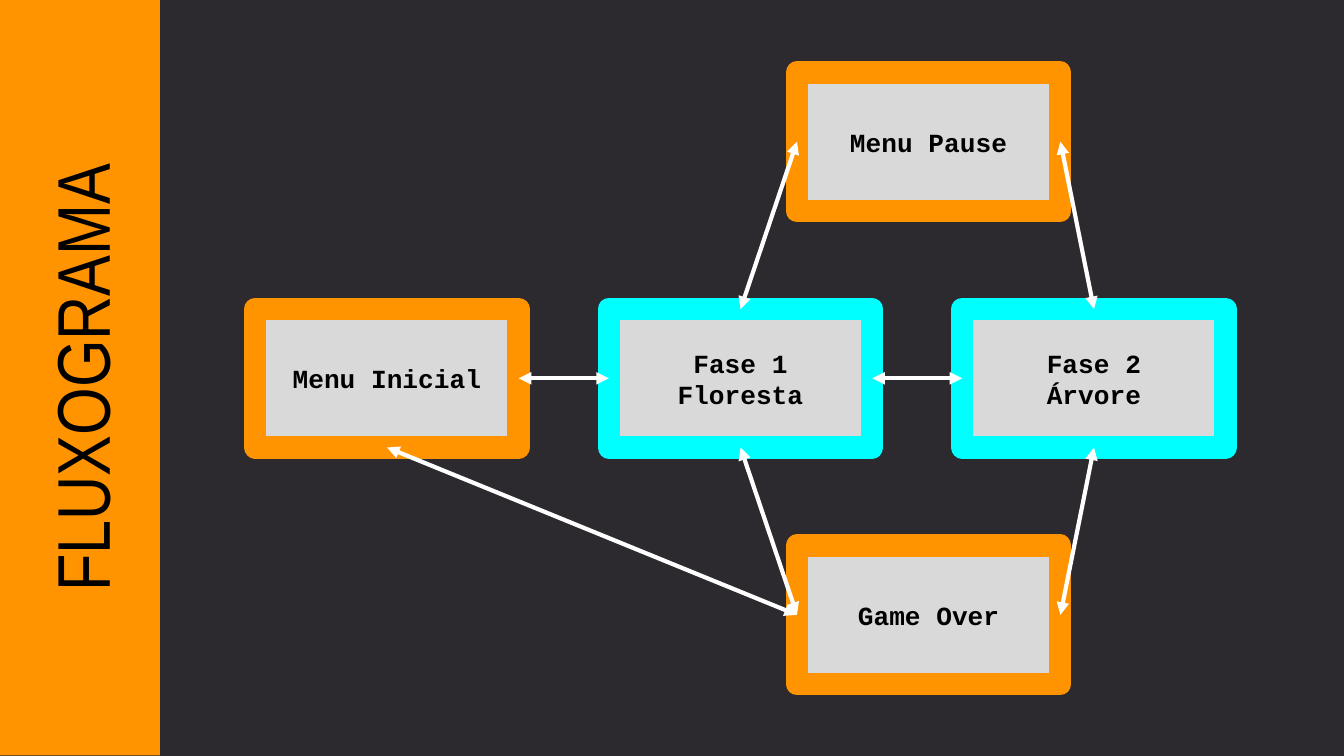
from dataclasses import dataclass
from enum import IntEnum

import pptx
import pptx.dml.color
import pptx.enum.shapes
import pptx.enum.text
import pptx.oxml
import pptx.oxml.ns
import pptx.util
from pptx.util import Inches

RGBColor = pptx.dml.color.RGBColor
DARK = RGBColor(0x2C, 0x2A, 0x2E)
ORANGE = RGBColor(0xFF, 0x94, 0x00)
CYAN = RGBColor(0x00, 0xFF, 0xFF)
GREY = RGBColor(0xD9, 0xD9, 0xD9)
BLACK = RGBColor(0x00, 0x00, 0x00)
WHITE = RGBColor(0xFF, 0xFF, 0xFF)

SLIDE_WIDTH = 10
SLIDE_HEIGHT = SLIDE_WIDTH * 9 / 16
BOX_WIDTH, BOX_HEIGHT = 1.96, 1.03
BAND_WIDTH, BAND_LENGTH = 1.19, 5.62
FRAME_FORMAT = {
    "word_wrap": True,
    "auto_size": pptx.enum.text.MSO_AUTO_SIZE.NONE,
    "vertical_anchor": pptx.enum.text.MSO_ANCHOR.MIDDLE,
    "margin_left": Inches(0.1),
    "margin_right": Inches(0.1),
    "margin_top": Inches(0.1),
    "margin_bottom": Inches(0.1),
}
TITLE_FONT = {"name": "Arial Narrow", "size": pptx.util.Pt(40), "bold": False}
SCREEN_FONT = {"name": "Courier New", "size": pptx.util.Pt(14), "bold": True}


class Side(IntEnum):
    """Connection sites of a rectangle."""
    TOP = 0
    LEFT = 1
    BOTTOM = 2
    RIGHT = 3


@dataclass(frozen=True)
class Screen:
    label: str
    left: float
    top: float
    border: RGBColor


@dataclass(frozen=True)
class Transition:
    start: str
    start_side: Side
    end: str
    end_side: Side


SCREENS = [
    Screen("Menu Inicial", 1.9, 2.3, ORANGE),
    Screen("Fase 1\nFloresta", 4.53, 2.3, CYAN),
    Screen("Fase 2\nÁrvore", 7.16, 2.3, CYAN),
    Screen("Menu Pause", 5.93, 0.54, ORANGE),
    Screen("Game Over", 5.93, 4.06, ORANGE),
]
START, FOREST, TREE, PAUSE, GAME_OVER = (screen.label for screen in SCREENS)
TRANSITIONS = [
    Transition(START, Side.RIGHT, FOREST, Side.LEFT),
    Transition(FOREST, Side.TOP, PAUSE, Side.LEFT),
    Transition(TREE, Side.TOP, PAUSE, Side.RIGHT),
    Transition(FOREST, Side.BOTTOM, GAME_OVER, Side.LEFT),
    Transition(GAME_OVER, Side.RIGHT, TREE, Side.BOTTOM),
    Transition(FOREST, Side.RIGHT, TREE, Side.LEFT),
    Transition(START, Side.BOTTOM, GAME_OVER, Side.LEFT),
]


def apply_format(target, values: dict) -> None:
    for attribute, value in values.items():
        setattr(target, attribute, value)


def write_text(shape, text: str, font: dict) -> None:
    frame = shape.text_frame
    frame.text = text
    apply_format(frame, FRAME_FORMAT)
    for paragraph in frame.paragraphs:
        paragraph.alignment = pptx.enum.text.PP_ALIGN.CENTER
        for run in paragraph.runs:
            apply_format(run.font, font)
            run.font.color.rgb = BLACK


def fill_solid(fill, color: RGBColor) -> None:
    fill.solid()
    fill.fore_color.rgb = color


def add_line_detail(line_owner, tag: str, **attributes: str) -> None:
    ln = line_owner.line._get_or_add_ln()
    detail = pptx.oxml.parse_xml(f"<{tag} {pptx.oxml.ns.nsdecls('a')}/>")
    for name, value in attributes.items():
        detail.set(name, value)
    ln.append(detail)


def draw_title_band(slide) -> None:
    band = slide.shapes.title
    apply_format(band, {
        "left": Inches((BAND_WIDTH - BAND_LENGTH) / 2),
        "top": Inches((BAND_LENGTH - BAND_WIDTH) / 2),
        "width": Inches(BAND_LENGTH),
        "height": Inches(BAND_WIDTH),
        "rotation": 270,
    })
    fill_solid(band.fill, ORANGE)
    write_text(band, "FLUXOGRAMA", TITLE_FONT)


def draw_screen(slide, screen: Screen):
    box = slide.shapes.add_shape(
        pptx.enum.shapes.MSO_SHAPE.RECTANGLE,
        Inches(screen.left), Inches(screen.top),
        Inches(BOX_WIDTH), Inches(BOX_HEIGHT))
    box.shadow.inherit = False
    fill_solid(box.fill, GREY)
    fill_solid(box.line.fill, screen.border)
    box.line.width = pptx.util.Pt(12)
    add_line_detail(box, "a:round")
    write_text(box, screen.label, SCREEN_FONT)
    return box


def draw_transition(slide, boxes: dict, transition: Transition) -> None:
    arrow = slide.shapes.add_connector(
        pptx.enum.shapes.MSO_CONNECTOR.STRAIGHT, 0, 0, 0, 0)
    arrow.begin_connect(boxes[transition.start], transition.start_side.value)
    arrow.end_connect(boxes[transition.end], transition.end_side.value)
    fill_solid(arrow.line.fill, WHITE)
    arrow.line.width = pptx.util.Pt(2.25)
    for end in ("a:headEnd", "a:tailEnd"):
        add_line_detail(arrow, end, type="triangle")
    arrow._element.spPr.append(
        pptx.oxml.parse_xml(f"<a:effectLst {pptx.oxml.ns.nsdecls('a')}/>"))


def main() -> None:
    deck = pptx.Presentation()
    deck.slide_width = Inches(SLIDE_WIDTH)
    deck.slide_height = Inches(SLIDE_HEIGHT)
    slide = deck.slides.add_slide(deck.slide_layouts.get_by_name("Title Only"))
    fill_solid(slide.background.fill, DARK)
    draw_title_band(slide)
    boxes = {screen.label: draw_screen(slide, screen) for screen in SCREENS}
    for transition in TRANSITIONS:
        draw_transition(slide, boxes, transition)
    deck.save("out.pptx")


if __name__ == "__main__":
    main()
